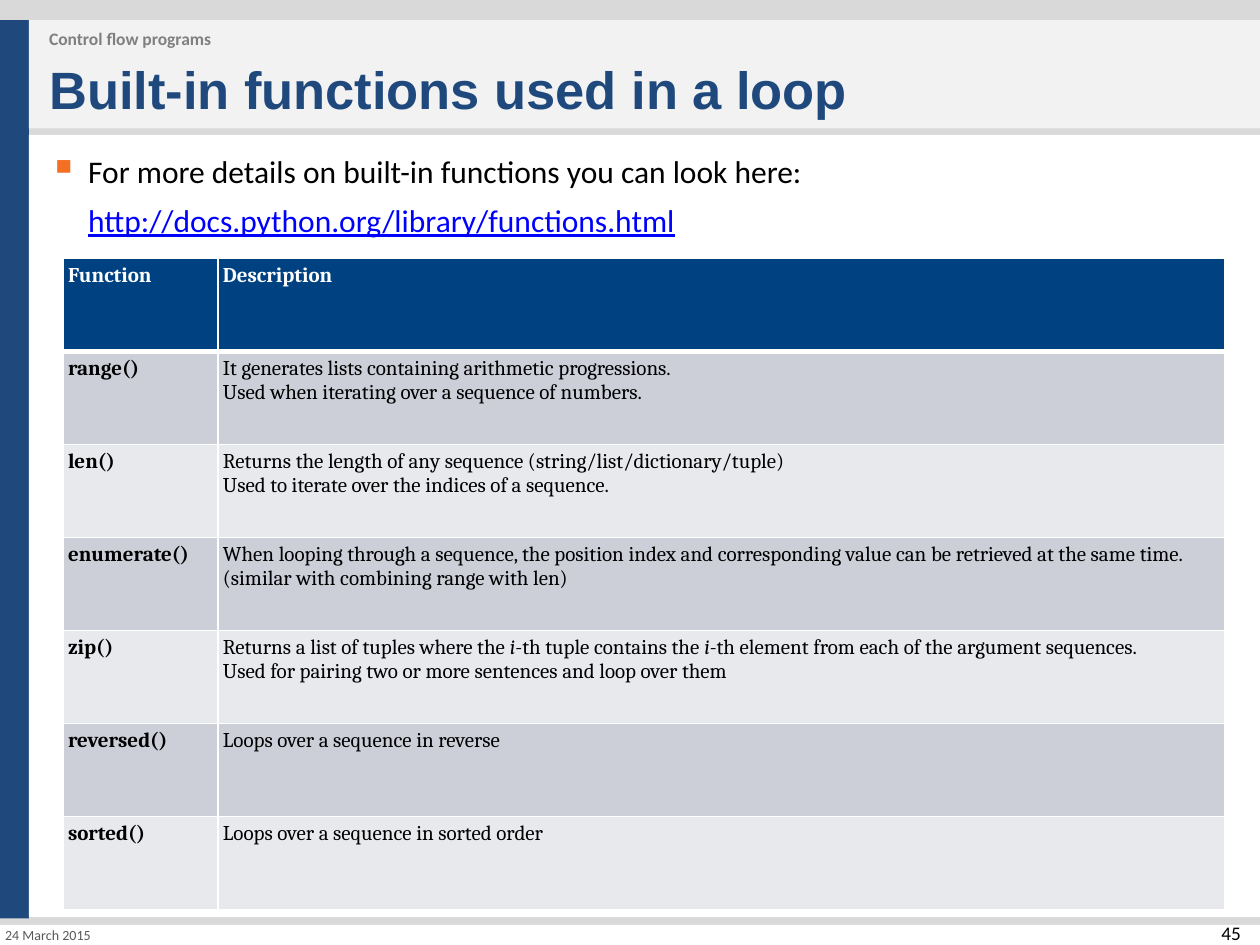
from dataclasses import dataclass

from lxml.etree import SubElement
from pptx import Presentation
from pptx.dml.color import RGBColor
from pptx.enum.shapes import MSO_SHAPE
from pptx.enum.text import MSO_ANCHOR, MSO_AUTO_SIZE, PP_ALIGN
from pptx.oxml.ns import qn
from pptx.util import Inches, Pt


@dataclass(frozen=True)
class Theme:
    backdrop: str = "D9D9D9"
    navy: str = "1F497D"
    band: str = "F2F2F2"
    white: str = "FFFFFF"
    black: str = "000000"
    grey: str = "808080"
    date: str = "595959"
    link: str = "0000FF"
    bullet: str = "F36F23"
    table_head: str = "004281"
    table_rows: tuple = ("CCCFD8", "E7E9ED")
    body_font: str = "Calibri"
    title_font: str = "Arial"
    table_font: str = "Cambria"
    title_size: int = 30
    body_size: int = 18
    table_size: int = 12
    number_size: int = 11
    section_size: int = 10
    date_size: int = 8


THEME = Theme()

# Each description is a list of paragraphs; text between asterisks is italic.
FUNCTIONS = [
    ("range()", ["It generates lists containing arithmetic progressions.",
                 "Used when iterating over a sequence of numbers."]),
    ("len()", ["Returns the length of any sequence (string/list/dictionary/tuple)",
               "Used to iterate over the indices of a sequence."]),
    ("enumerate()", ["When looping through a sequence, the position index and "
                     "corresponding value can be retrieved at the same time. "
                     "(similar with combining range with len)"]),
    ("zip()", ["Returns a list of tuples where the *i*-th tuple contains the "
               "*i*-th element from each of the argument sequences.",
               "Used for pairing two or more sentences and loop over them"]),
    ("reversed()", ["Loops over a sequence in reverse"]),
    ("sorted()", ["Loops over a sequence in sorted order"]),
]


def write(para, text, *, size, color=THEME.black, font=THEME.body_font,
          bold=False, underline=False, align=PP_ALIGN.LEFT, after=0):
    para.alignment = align
    para.space_before, para.space_after = Pt(0), Pt(after)
    for index, part in enumerate(text.split("*")):
        span = para.add_run()
        span.text = part
        span.font.name, span.font.size = font, Pt(size)
        span.font.bold, span.font.italic = bold, index % 2 == 1
        span.font.underline = underline
        span.font.color.rgb = RGBColor.from_string(color)


def set_frame(frame, margin, anchor):
    frame.word_wrap = True
    frame.auto_size = MSO_AUTO_SIZE.NONE
    frame.vertical_anchor = anchor
    frame.margin_left = frame.margin_right = Inches(margin)
    frame.margin_top = frame.margin_bottom = Inches(margin)


def add_text_box(page, box, margin=0.08, anchor=MSO_ANCHOR.TOP):
    frame = page.shapes.add_textbox(*map(Inches, box)).text_frame
    set_frame(frame, margin, anchor)
    return frame


def add_panel(page, box, color):
    panel = page.shapes.add_shape(MSO_SHAPE.RECTANGLE, *map(Inches, box))
    panel.shadow.inherit = False
    panel.fill.solid()
    panel.fill.fore_color.rgb = RGBColor.from_string(color)
    panel.line.fill.background()


def add_background(page, width, height):
    page.background.fill.solid()
    page.background.fill.fore_color.rgb = RGBColor.from_string(THEME.backdrop)
    side, top, foot = 0.23, 0.16, 0.16
    add_panel(page, (0, top, side, 7.13), THEME.navy)
    add_panel(page, (side, top, width - side, 0.86), THEME.band)
    add_panel(page, (side, 1.07, width - side, 6.21), THEME.white)
    add_panel(page, (0, height - foot, width, foot), THEME.white)


def add_header(page, box):
    left, top, width, height = box
    section = add_text_box(page, (left, top, 3.38, 0.33), anchor=MSO_ANCHOR.MIDDLE)
    write(section.paragraphs[0], "Control flow programs", size=THEME.section_size,
          color=THEME.grey, bold=True, after=6)
    title = page.shapes.title
    page.shapes.element.append(title.element)  # bring in front of the panels
    title_height = 0.61
    title.left, title.top = Inches(left), Inches(top + height - title_height)
    title.width, title.height = Inches(width), Inches(title_height)
    set_frame(title.text_frame, 0.08, MSO_ANCHOR.BOTTOM)
    write(title.text_frame.paragraphs[0], "Built-in functions used in a loop",
          size=THEME.title_size, color=THEME.navy, font=THEME.title_font, bold=True)


def indent(para, left, first):
    properties = para._p.get_or_add_pPr()
    properties.set("marL", str(Inches(left)))
    properties.set("indent", str(Inches(first)))
    return properties


def add_bullet(para, hang):
    properties = indent(para, hang, -hang)
    color = SubElement(properties, qn("a:buClr"))
    SubElement(color, qn("a:srgbClr"), val=THEME.bullet)
    SubElement(properties, qn("a:buSzPct"), val="125000")
    SubElement(properties, qn("a:buChar"), char="▪")


def add_intro(page, box):
    frame = add_text_box(page, box)
    hang = 0.31
    lead = frame.paragraphs[0]
    write(lead, "For more details on built-in functions you can look here:",
          size=THEME.body_size, after=6)
    add_bullet(lead, hang)
    address = frame.add_paragraph()
    write(address, "http://docs.python.org/library/functions.html",
          size=THEME.body_size, color=THEME.link, underline=True, after=6)
    indent(address, hang, 0)


def set_borders(cell, bottom):
    properties = cell._tc.get_or_add_tcPr()
    edges = {"lnL": 1, "lnR": 1, "lnT": 1, "lnB": bottom}
    for position, (edge, width) in enumerate(edges.items()):
        line = SubElement(properties, qn(f"a:{edge}"), w=str(Pt(width)))
        fill = SubElement(line, qn("a:solidFill"))
        SubElement(fill, qn("a:srgbClr"), val=THEME.white)
        properties.insert(position, line)


def fill_cell(cell, paragraphs, fill, color, bold, bottom):
    cell.margin_left = cell.margin_right = Inches(0.04)
    cell.margin_top = cell.margin_bottom = Inches(0.04)
    cell.fill.solid()
    cell.fill.fore_color.rgb = RGBColor.from_string(fill)
    set_borders(cell, bottom)
    for index, text in enumerate(paragraphs):
        frame = cell.text_frame
        para = frame.add_paragraph() if index else frame.paragraphs[0]
        write(para, text, size=THEME.table_size, color=color,
              font=THEME.table_font, bold=bold)


def add_function_table(page, box):
    row_count, name_width = len(FUNCTIONS) + 1, 1.23
    table = page.shapes.add_table(row_count, 2, *map(Inches, box)).table
    table.columns[0].width = Inches(name_width)
    table.columns[1].width = Inches(box[2] - name_width)
    for column, heading in enumerate(("Function", "Description")):
        fill_cell(table.cell(0, column), [heading], THEME.table_head,
                  THEME.white, True, 3)
    for row, (name, description) in enumerate(FUNCTIONS, start=1):
        fill = THEME.table_rows[(row - 1) % 2]
        fill_cell(table.cell(row, 0), [name], fill, THEME.black, True, 1)
        fill_cell(table.cell(row, 1), description, fill, THEME.black, False, 1)


def add_footer(page, box):
    left, top, width, height = box
    date = add_text_box(page, (left, top, 1.25, height), 0.04, MSO_ANCHOR.MIDDLE)
    write(date.paragraphs[0], "24 March 2015", size=THEME.date_size, color=THEME.date)
    number_width = 0.8
    number = add_text_box(
        page, (left + width - number_width, 7.31, number_width, 0.28), 0)
    write(number.paragraphs[0], "45", size=THEME.number_size, align=PP_ALIGN.RIGHT)


def main():
    deck = Presentation()
    deck.slide_width, deck.slide_height = Inches(10), Inches(7.5)
    page = deck.slides.add_slide(deck.slide_layouts[5])
    add_background(page, 10, 7.5)
    add_header(page, (0.31, 0.14, 9.54, 0.89))
    add_intro(page, (0.31, 1.13, 9.52, 1.24))
    add_function_table(page, (0.5, 2.05, 9.22, 5.17))
    add_footer(page, (0, 7.34, 9.85, 0.16))
    deck.save("out.pptx")


if __name__ == "__main__":
    main()
